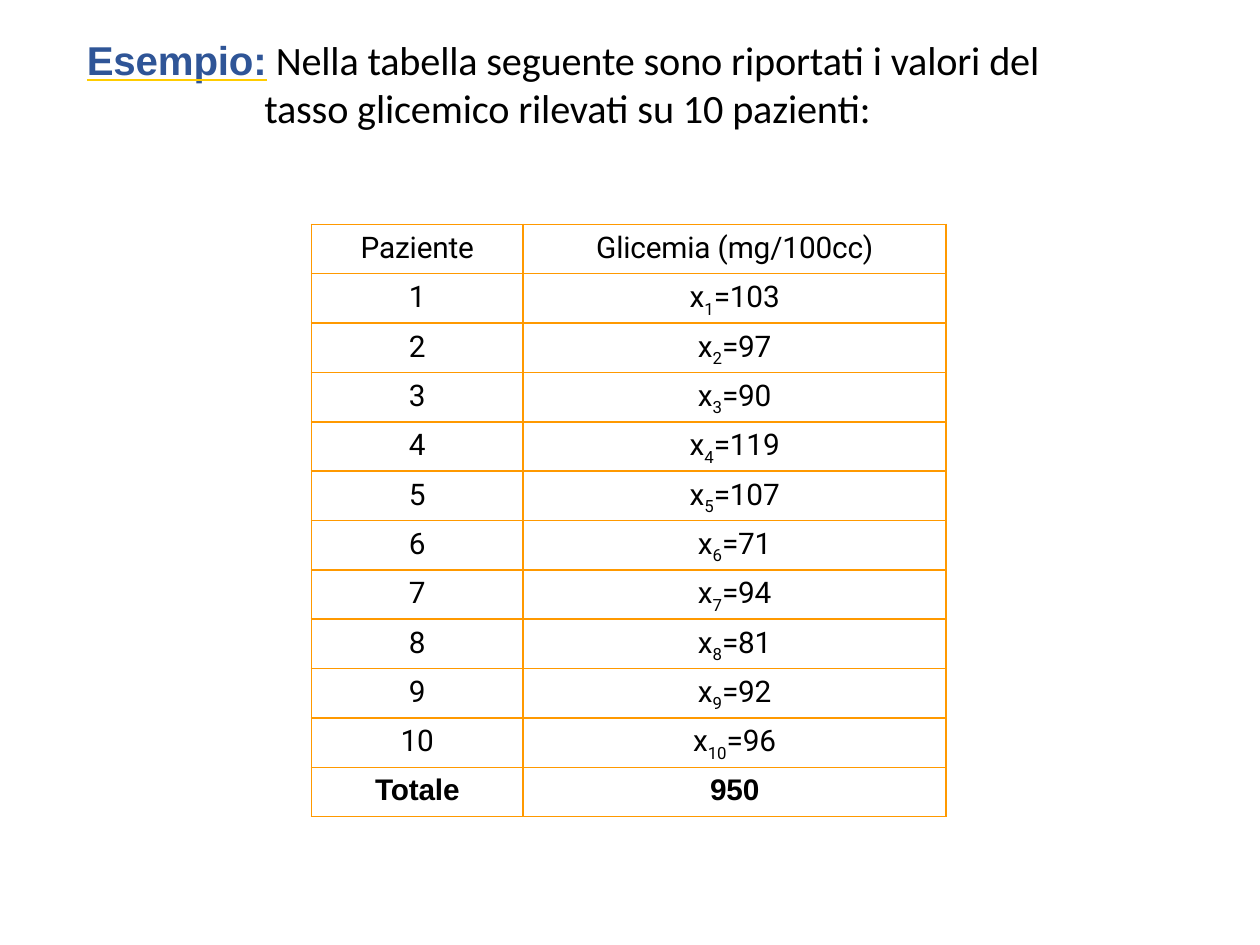
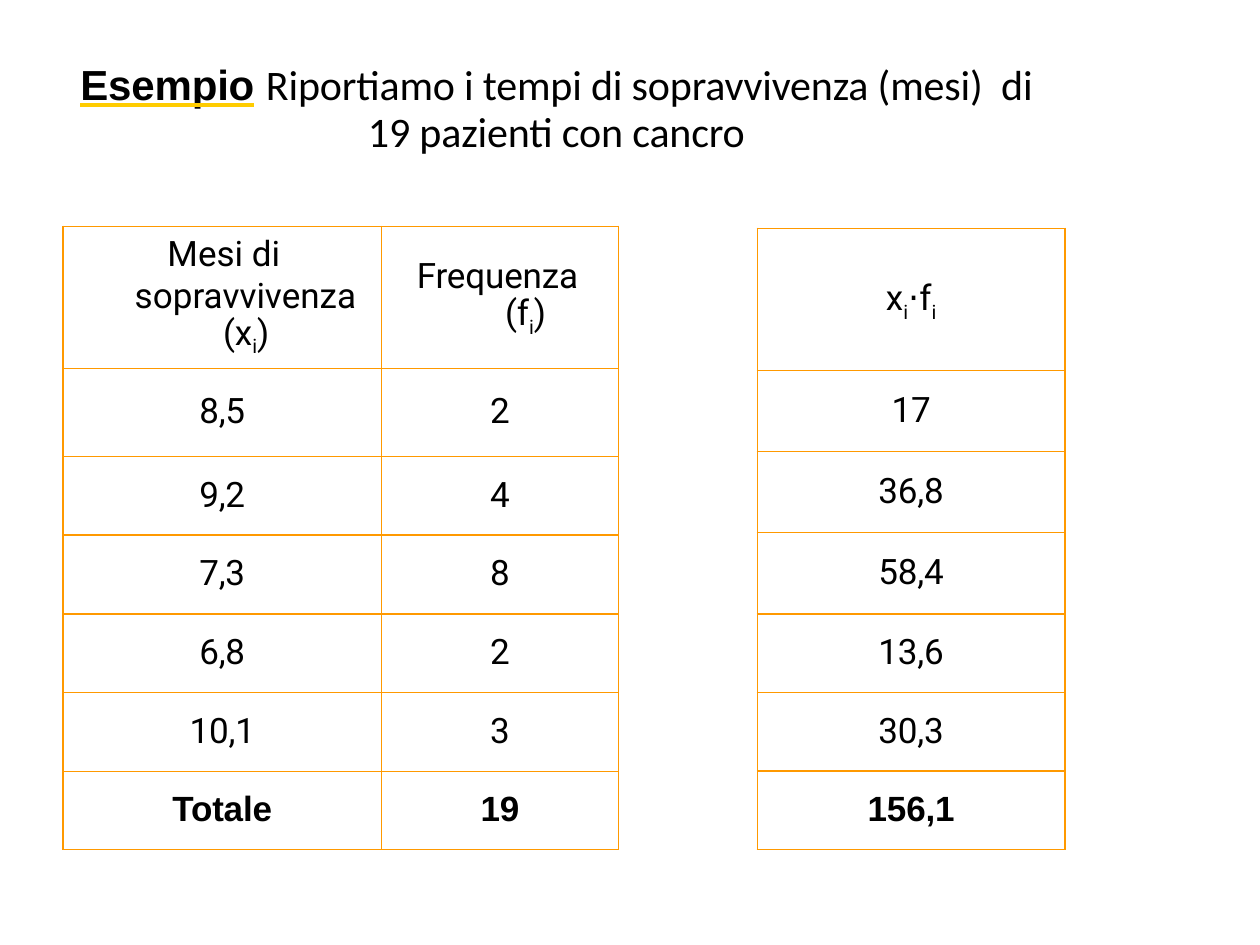
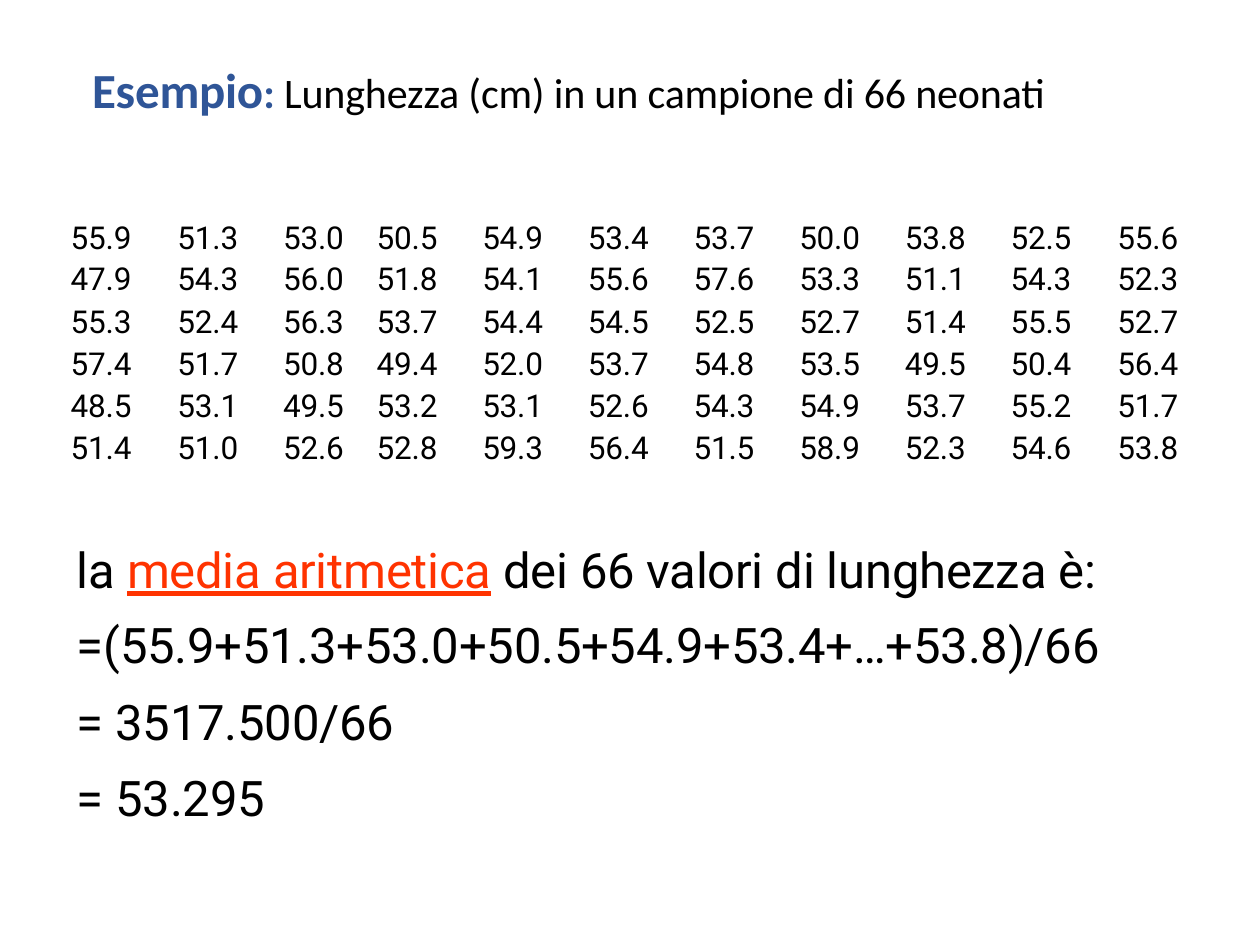
from dataclasses import dataclass
from typing import NamedTuple, Optional

import lxml.etree
import pptx
import pptx.dml.color
import pptx.enum.text
import pptx.oxml.ns
import pptx.util

Pt = pptx.util.Pt
RGBColor = pptx.dml.color.RGBColor
Align = pptx.enum.text.PP_ALIGN
Anchor = pptx.enum.text.MSO_ANCHOR
Underline = pptx.enum.text.MSO_UNDERLINE
qn = pptx.oxml.ns.qn

BLACK = RGBColor(0x00, 0x00, 0x00)
BLUE = RGBColor(0x2F, 0x55, 0x97)
YELLOW = RGBColor(0xFF, 0xCC, 0x00)
RED = RGBColor(0xFF, 0x33, 0x00)
ORANGE = RGBColor(0xFF, 0x99, 0x00)

HEADING, TITLE, BODY = "Arial", "Calibri", "Roboto"


class Run(NamedTuple):
    text: str
    size: float
    font: str = BODY
    color: RGBColor = BLACK
    bold: bool = False
    underline: Optional[Underline] = None
    underline_color: Optional[RGBColor] = None
    baseline: int = 0  # percent
    spacing: float = -0.1


class Paragraph(NamedTuple):
    runs: list[Run]
    align: Align = Align.CENTER
    line: Optional[float] = None
    before: float = 0
    left: float = 0
    first: float = 0
    tab: Optional[float] = None


class Box(NamedTuple):
    left: float
    top: float
    width: float
    height: float


@dataclass
class Cell:
    paragraphs: list[Paragraph]
    top: float = 0
    left: float = 0
    right: float = 0


@dataclass
class Grid:
    left: float
    top: float
    widths: list[float]
    heights: list[float]
    rows: list[list[Cell]]
    border: Optional[RGBColor] = None


# Text

def add_solid_fill(parent, color: RGBColor) -> None:
    fill = lxml.etree.SubElement(parent, qn("a:solidFill"))
    lxml.etree.SubElement(fill, qn("a:srgbClr"), val=str(color))


def write_run(paragraph, run: Run) -> None:
    piece = paragraph.add_run()
    piece.text = run.text
    font = piece.font
    font.size = Pt(run.size)
    font.bold = run.bold
    font.color.rgb = run.color
    properties = piece._r.get_or_add_rPr()
    properties.set("spc", str(round(run.spacing * 100)))
    if run.baseline:
        properties.set("baseline", str(run.baseline * 1000))
    if run.underline:
        font.underline = run.underline
        add_solid_fill(lxml.etree.SubElement(properties, qn("a:uFill")),
                       run.underline_color or run.color)
    font.name = run.font


def write_paragraphs(frame, paragraphs: list[Paragraph]) -> None:
    for index, item in enumerate(paragraphs):
        paragraph = frame.add_paragraph() if index else frame.paragraphs[0]
        paragraph.alignment = item.align
        paragraph.space_before = Pt(item.before)
        if item.line:
            paragraph.line_spacing = Pt(item.line)
        properties = paragraph._p.get_or_add_pPr()
        properties.set("marL", str(Pt(item.left)))
        properties.set("indent", str(Pt(item.first)))
        if item.tab:
            tabs = lxml.etree.SubElement(properties, qn("a:tabLst"))
            lxml.etree.SubElement(tabs, qn("a:tab"), pos=str(Pt(item.tab)), algn="l")
        for run in item.runs:
            write_run(paragraph, run)


def set_margins(target, left: float, top: float, right: float) -> None:
    target.margin_left, target.margin_top = Pt(left), Pt(top)
    target.margin_right, target.margin_bottom = Pt(right), Pt(0)


def add_text(slide, box: Box, paragraphs: list[Paragraph], top: float,
             anchor: Anchor = Anchor.TOP) -> None:
    frame = slide.shapes.add_textbox(*(Pt(value) for value in box)).text_frame
    frame.word_wrap = True
    frame.auto_size = pptx.enum.text.MSO_AUTO_SIZE.SHAPE_TO_FIT_TEXT
    frame.vertical_anchor = anchor
    set_margins(frame, 0, top, 0)
    write_paragraphs(frame, paragraphs)


def add_title(slide, box: Box, title: Paragraph, top: float) -> None:
    add_text(slide, box, [title], top, Anchor.BOTTOM)


# Tables

def add_borders(cell, color: RGBColor) -> None:
    properties = cell._tc.get_or_add_tcPr()
    for side in ("lnL", "lnR", "lnT", "lnB"):
        line = lxml.etree.SubElement(properties, qn(f"a:{side}"), w=str(Pt(1)))
        add_solid_fill(line, color)


def add_grid(slide, grid: Grid) -> None:
    table = slide.shapes.add_table(
        len(grid.heights), len(grid.widths), Pt(grid.left), Pt(grid.top),
        Pt(sum(grid.widths)), Pt(sum(grid.heights))).table
    table.first_row = table.horz_banding = False
    for column, width in zip(table.columns, grid.widths):
        column.width = Pt(width)
    for row, height, contents in zip(table.rows, grid.heights, grid.rows):
        row.height = Pt(height)
        for cell, content in zip(row.cells, contents):
            if grid.border:
                add_borders(cell, grid.border)
            cell.fill.background()
            set_margins(cell, content.left, content.top, content.right)
            write_paragraphs(cell.text_frame, content.paragraphs)


def plain_cell(text: str, size: float, top: float, total: bool = False) -> Cell:
    font = HEADING if total else BODY
    return Cell([Paragraph([Run(text, size, font, bold=total)])], top)


def with_subscript(before: str, index: str, after: str, size: float) -> list[Run]:
    return [Run(before, size), Run(index, size - 0.5, baseline=-25), Run(after, size)]


# Slide 1: blood glucose of ten patients

def build_glucose(slide) -> None:
    add_title(slide, Box(26.64, 18, 594.72, 56.88), Paragraph([
        Run("Esempio:", 23, HEADING, BLUE, True, Underline.SINGLE_LINE, YELLOW),
        Run("\t", 23, HEADING, YELLOW, True),
        Run("Nella tabella seguente sono riportati i valori del  tasso glicemico "
            "rilevati su 10 pazienti:", 23, TITLE),
    ], line=27, left=0.72, tab=117.36), top=2.16)

    size, inset = 17, 3.6
    glucose = [103, 97, 90, 119, 107, 71, 94, 81, 92, 96]
    rows = [[plain_cell(text, size, inset) for text in ("Paziente", "Glicemia (mg/100cc)")]]
    for patient, value in enumerate(glucose, start=1):
        measure = Paragraph(with_subscript("x", str(patient), f"={value}", size))
        rows.append([plain_cell(str(patient), size, inset), Cell([measure], inset)])
    rows.append([plain_cell(text, size, inset, total=True)
                 for text in ("Totale", str(sum(glucose)))])
    add_grid(slide, Grid(178, 128.2, [121, 241.7], [28.22] * len(rows), rows, ORANGE))


# Slide 2: survival times with frequencies

SURVIVAL_SIZE = 20
SURVIVAL_LINE = 24


def survival_grid(left: float, top: float, widths: list[float], heights: list[float],
                  header: list[Cell], body: list[tuple[str, ...]]) -> Grid:
    rows = [header]
    for height, values in zip(heights[1:], body):
        inset = (height - SURVIVAL_LINE) / 2
        rows.append([plain_cell(value, SURVIVAL_SIZE, inset, values is body[-1])
                     for value in values])
    return Grid(left, top, widths, heights, rows, ORANGE)


def build_survival(slide) -> None:
    add_title(slide, Box(37.44, 31.68, 560.16, 57.6), Paragraph([
        Run("Esempio", 24, HEADING, BLACK, True, Underline.HEAVY_LINE, YELLOW),
        Run(" ", 24, HEADING, YELLOW, True),
        Run("Riportiamo i tempi di sopravvivenza (mesi)  di 19 pazienti con cancro",
            24, TITLE),
    ], line=27, left=0.72), top=3.6)

    months = Cell([
        Paragraph([Run("Mesi di sopravvivenza", SURVIVAL_SIZE, spacing=0)],
                  Align.LEFT, left=41, first=18.7),
        Paragraph(with_subscript("(x", "i", ")", SURVIVAL_SIZE), line=23.9, left=27.4),
    ], top=4.5)
    frequency = Cell([
        Paragraph([Run("Frequenza", SURVIVAL_SIZE)], Align.LEFT, SURVIVAL_LINE, left=20.2),
        Paragraph(with_subscript("(f", "i", ")", SURVIVAL_SIZE), Align.LEFT,
                  SURVIVAL_LINE, left=70.6),
    ], top=16.5)
    add_grid(slide, survival_grid(
        36, 129.4, [182, 135.4], [81.1, 50.3, 45, 45, 45, 45, 44.8], [months, frequency],
        [("8,5", "2"), ("9,2", "4"), ("7,3", "8"), ("6,8", "2"), ("10,1", "3"),
         ("Totale", "19")]))

    product = Cell([Paragraph([
        *with_subscript("x", "i", "", SURVIVAL_SIZE)[:2],
        Run("⋅", SURVIVAL_SIZE, HEADING),
        *with_subscript("f", "i", "", SURVIVAL_SIZE)[:2],
    ])], top=28.5)
    add_grid(slide, survival_grid(
        432.8, 130.5, [175.7], [81.1, 46.4, 46.4, 46.4, 45, 45, 44.8], [product],
        [("17",), ("36,8",), ("58,4",), ("13,6",), ("30,3",), ("156,1",)]))


# Slide 3: length of 66 newborns

LENGTHS = """
55.9 51.3 53.0 50.5 54.9 53.4 53.7 50.0 53.8 52.5 55.6
47.9 54.3 56.0 51.8 54.1 55.6 57.6 53.3 51.1 54.3 52.3
55.3 52.4 56.3 53.7 54.4 54.5 52.5 52.7 51.4 55.5 52.7
57.4 51.7 50.8 49.4 52.0 53.7 54.8 53.5 49.5 50.4 56.4
48.5 53.1 49.5 53.2 53.1 52.6 54.3 54.9 53.7 55.2 51.7
51.4 51.0 52.6 52.8 59.3 56.4 51.5 58.9 52.3 54.6 53.8
"""


class Column(NamedTuple):
    width: float
    align: Align = Align.CENTER
    margin: float = 0


def build_lengths(slide) -> None:
    add_title(slide, Box(26.64, 33.12, 595.44, 34.56), Paragraph([
        Run("Esempio", 28, TITLE, BLUE, True),
        Run(": ", 24, TITLE, BLUE, True),
        Run("Lunghezza (cm) in un campione di 66 neonati", 24, TITLE),
    ], left=0.72), top=0.72)

    columns = [
        Column(50.4, Align.LEFT, 2.2), Column(60.4), Column(56.9, Align.RIGHT, 9.4),
        Column(56.9, Align.LEFT, 9.4), *[Column(60.4)] * 6, Column(50.4, Align.RIGHT, 2.2),
    ]
    heights = [22.2] + [24.2] * 4 + [22.2]
    line_spacings = [19.9] + [None] * 4 + [20.8]
    rows = [
        [Cell([Paragraph([Run(value, 18)], column.align, line)],
              left=column.margin, right=column.margin)
         for column, value in zip(columns, values.split())]
        for line, values in zip(line_spacings, LENGTHS.strip().splitlines())
    ]
    add_grid(slide, Grid(38.2, 127.4, [column.width for column in columns], heights, rows))

    # Arithmetic mean, step by step
    size = 28
    mean = Paragraph([
        Run("la ", size),
        Run("media aritmetica", size, color=RED, underline=Underline.HEAVY_LINE),
        Run(" dei 66 valori di lunghezza è:", size),
    ], Align.LEFT, left=0.72)
    steps = [("=(55.9+51.3+53.0+50.5+54.9+53.4+…+53.8)/66", 9.2),
             ("= 3517.500/66", 10.3), ("= 53.295", 10.3)]
    add_text(slide, Box(43.2, 298.08, 599.04, 175.68), [
        mean,
        *(Paragraph([Run(text, size)], Align.LEFT, before=gap, left=0.72)
          for text, gap in steps),
    ], top=10.08)


def main() -> None:
    presentation = pptx.Presentation()
    presentation.slide_width, presentation.slide_height = Pt(720), Pt(540)
    blank = presentation.slide_layouts[6]
    for build in (build_glucose, build_survival, build_lengths):
        build(presentation.slides.add_slide(blank))
    presentation.save("out.pptx")


if __name__ == "__main__":
    main()
